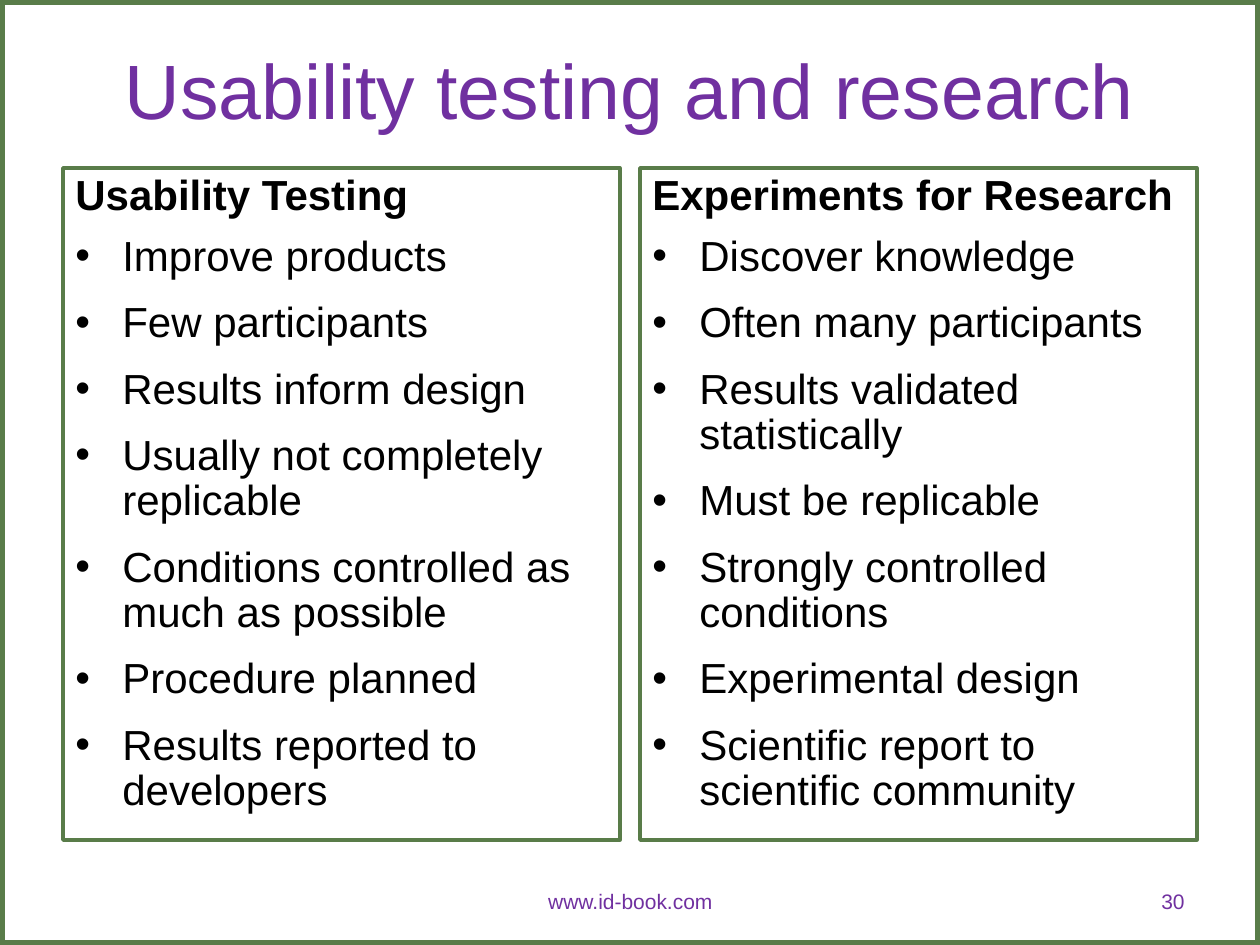
from dataclasses import dataclass

from lxml.etree import SubElement
from pptx import Presentation
from pptx.dml.color import RGBColor
from pptx.enum.shapes import MSO_SHAPE
from pptx.enum.text import MSO_ANCHOR, PP_ALIGN
from pptx.oxml.ns import qn
from pptx.util import Pt

SCALE = 914400 / 126
GREEN, PURPLE, BLACK = "597C49", "7030A0", "000000"


@dataclass
class Box:
    left: int
    top: int
    width: int
    height: int


@dataclass
class Label:
    text: str
    box: Box
    size: int
    align: PP_ALIGN


@dataclass
class Panel:
    head: str
    items: list[str]


def px(count: int) -> int:
    return round(count * SCALE)


def spot(box: Box) -> tuple[int, ...]:
    return px(box.left), px(box.top), px(box.width), px(box.height)


def color(code: str) -> RGBColor:
    return RGBColor.from_string(code)


def style(para, size: int, code: str, bold: bool = False) -> None:
    for run in para.runs:
        font = run.font
        font.name, font.size, font.bold = "Arial", Pt(size), bold
        font.color.rgb = color(code)


def draw_frame(slide, box: Box, weight: int):
    shape = slide.shapes.add_shape(MSO_SHAPE.RECTANGLE, *spot(box))
    shape.shadow.inherit = False
    shape.fill.background()
    shape.line.color.rgb = color(GREEN)
    shape.line.width = Pt(weight)
    return shape


def draw_label(slide, label: Label) -> None:
    frame = slide.shapes.add_textbox(*spot(label.box)).text_frame
    frame.word_wrap = True
    frame.vertical_anchor = MSO_ANCHOR.MIDDLE
    frame.text = label.text
    para = frame.paragraphs[0]
    para.alignment = label.align
    style(para, label.size, PURPLE)


def add_bullet(para) -> None:
    props = para._p.get_or_add_pPr()
    SubElement(props, qn("a:buFont")).set("typeface", "Arial")
    SubElement(props, qn("a:buChar")).set("char", "•")


def draw_panel(slide, panel: Panel, box: Box) -> None:
    frame = draw_frame(slide, box, 2).text_frame
    frame.word_wrap = True
    frame.vertical_anchor = MSO_ANCHOR.TOP
    frame.text = "\n".join([panel.head, *panel.items])
    for place, para in enumerate(frame.paragraphs):
        props = para._p.get_or_add_pPr()
        props.set("marL", str(px(47)))
        props.set("indent", str(-px(47)))
        if place:
            add_bullet(para)
            para.space_before = Pt(9 if place == 1 else 12)
        para.alignment = PP_ALIGN.LEFT
        para.line_spacing = 0.9
        style(para, 24, BLACK, bold=place == 0)


LABELS = [
    Label("Usability testing and research", Box(63, 21, 1134, 136), 44, PP_ALIGN.CENTER),
    Label("www.id-book.com", Box(431, 876, 399, 50), 12, PP_ALIGN.CENTER),
    Label("30", Box(903, 876, 294, 50), 12, PP_ALIGN.RIGHT),
]

PANELS = [
    Panel("Usability Testing", [
        "Improve products",
        "Few participants",
        "Results inform design",
        "Usually not completely replicable",
        "Conditions controlled as much as possible",
        "Procedure planned",
        "Results reported to developers",
    ]),
    Panel("Experiments for Research", [
        "Discover knowledge",
        "Often many participants",
        "Results validated statistically",
        "Must be replicable",
        "Strongly controlled conditions",
        "Experimental design",
        "Scientific report to scientific community",
    ]),
]


def main() -> None:
    deck = Presentation()
    deck.slide_width, deck.slide_height = px(1260), px(945)
    slide = deck.slides.add_slide(deck.slide_layouts[6])
    draw_frame(slide, Box(0, 0, 1260, 945), 6)
    for label in LABELS:
        draw_label(slide, label)
    for place, panel in enumerate(PANELS):
        draw_panel(slide, panel, Box(63 + 577 * place, 168, 557, 672))
    deck.save("out.pptx")


if __name__ == "__main__":
    main()
